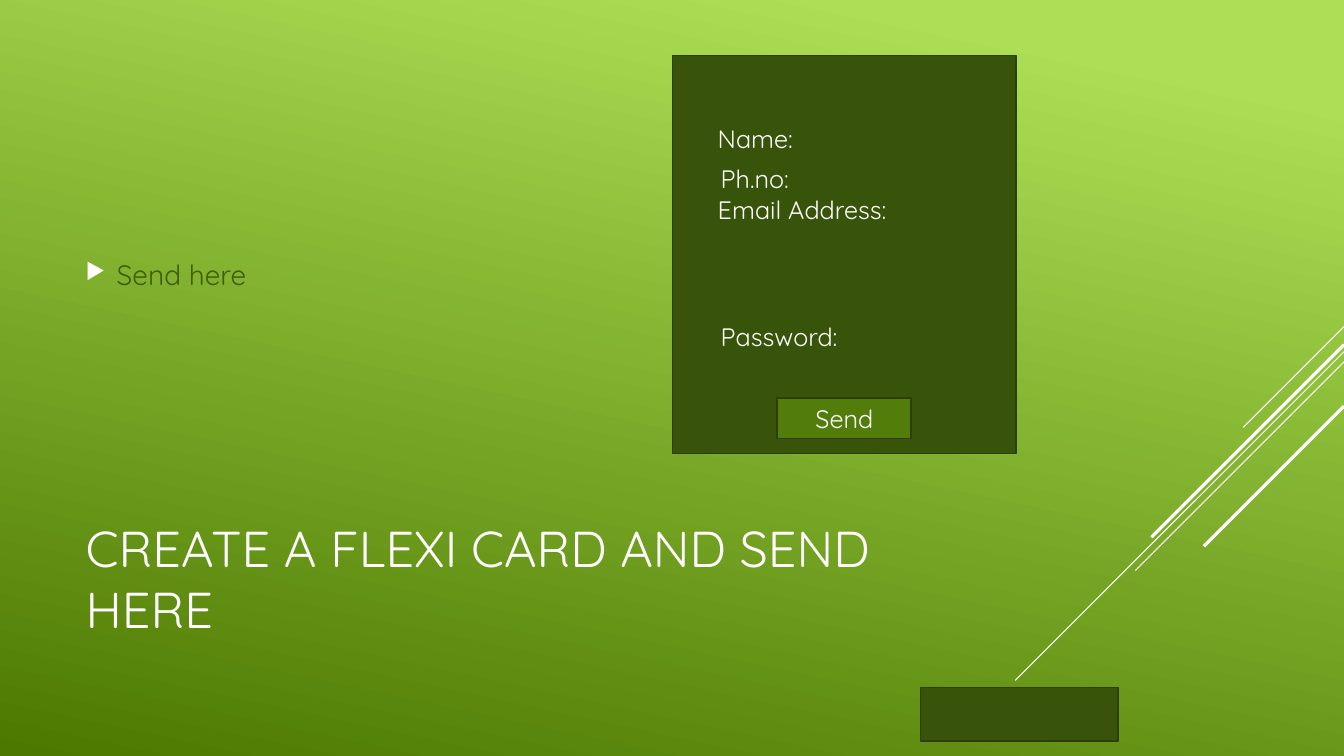
from lxml import etree
from pptx import Presentation
from pptx.dml.color import RGBColor
from pptx.enum.shapes import MSO_CONNECTOR, MSO_SHAPE
from pptx.enum.text import MSO_ANCHOR, MSO_AUTO_SIZE, PP_ALIGN
from pptx.oxml.ns import qn
from pptx.util import Inches, Pt

STRAIGHT = MSO_CONNECTOR.STRAIGHT
RECTANGLE = MSO_SHAPE.RECTANGLE
MIDDLE, TOP = MSO_ANCHOR.MIDDLE, MSO_ANCHOR.TOP
LEFT, CENTER = PP_ALIGN.LEFT, PP_ALIGN.CENTER
NO_FIT = MSO_AUTO_SIZE.NONE

WHITE = RGBColor(0xFF, 0xFF, 0xFF)
LIGHT_GREEN = RGBColor(0xAC, 0xDF, 0x55)
DEEP_GREEN = RGBColor(0x4C, 0x78, 0x00)
CARD_GREEN = RGBColor(0x38, 0x54, 0x0A)
BUTTON_GREEN = RGBColor(0x53, 0x7D, 0x0B)
BORDER_GREEN = RGBColor(0x2E, 0x3E, 0x07)
BODY_GREEN = RGBColor(0x3E, 0x5E, 0x08)


class SlideBuilder:
    font = "Quicksand"

    def __init__(self, prs):
        self.slide = prs.slides.add_slide(prs.slide_layouts[5])

    def background(self, start, end):
        fill = self.slide.background.fill
        fill.gradient()
        fill.gradient_angle = 258
        for stop, (position, color) in zip(fill.gradient_stops, (start, end)):
            stop.position = position
            stop.color.rgb = color

    def set_text(self, sp, text, size, color, align=LEFT, anchor=TOP):
        tf = sp.text_frame
        tf.text = text
        tf.word_wrap = True
        tf.auto_size = NO_FIT
        tf.vertical_anchor = anchor
        p = tf.paragraphs[0]
        p.alignment = align
        r = p.runs[0]
        r.font.name = self.font
        r.font.size = Pt(size)
        r.font.color.rgb = color
        return p

    def title(self, text, x, y, w, h):
        sp = self.slide.shapes.title
        sp.left, sp.top, sp.width, sp.height = map(Inches, (x, y, w, h))
        self.set_text(sp, text, 36, WHITE, anchor=MIDDLE)

    def text(self, text, x, y, w, h, size=18, color=WHITE, anchor=TOP):
        sp = self.slide.shapes.add_textbox(*map(Inches, (x, y, w, h)))
        return self.set_text(sp, text, size, color, anchor=anchor)

    def bullet(self, text, x, y, w, h):
        p = self.text(text, x, y, w, h, 20, BODY_GREEN, MIDDLE)
        p.space_after = Pt(6)
        pPr = p._p.get_or_add_pPr()
        pPr.set("marL", str(Inches(0.31)))
        pPr.set("indent", str(Inches(-0.31)))
        bullet_color = etree.SubElement(pPr, qn("a:buClr"))
        etree.SubElement(bullet_color, qn("a:srgbClr"), val=str(WHITE))
        etree.SubElement(pPr, qn("a:buSzPct"), val="80000")
        etree.SubElement(pPr, qn("a:buChar"), char="▶")

    def box(self, x, y, w, h, fill, text=None):
        sp = self.slide.shapes.add_shape(RECTANGLE, *map(Inches, (x, y, w, h)))
        sp.shadow.inherit = False
        sp.fill.solid()
        sp.fill.fore_color.rgb = fill
        sp.line.color.rgb = BORDER_GREEN
        sp.line.width = Pt(1.25)
        if text:
            self.set_text(sp, text, 18, WHITE, CENTER, MIDDLE)

    def line(self, x1, y1, x2, y2, width):
        sp = self.slide.shapes.add_connector(STRAIGHT, *map(Inches, (x1, y1, x2, y2)))
        sp.line.color.rgb = WHITE
        sp.line.width = Pt(width)
        etree.SubElement(sp._element.spPr, qn("a:effectLst"))


def main():
    prs = Presentation()
    prs.slide_width, prs.slide_height = Inches(13.33), Inches(7.5)
    s = SlideBuilder(prs)
    s.background((0.1, LIGHT_GREEN), (1.0, DEEP_GREEN))

    # Diagonal rays falling at 45 degrees from the right edge
    right = 13.33
    for top, run, width in [(3.24, 1.0, 0.75), (3.49, 3.26, 0.75), (3.59, 2.07, 0.75),
                            (3.42, 1.91, 2.25), (4.03, 1.39, 2.25)]:
        s.line(right, top, right - run, top + run, width)

    # Title and body
    s.title("CREATE A FLEXI CARD AND SEND HERE", 0.75, 4.91, 8.29, 1.65)
    s.bullet("Send here", 0.75, 0.75, 9.33, 3.95)

    # Footer block and form card
    s.box(9.13, 6.82, 1.96, 0.53, CARD_GREEN)
    s.box(6.67, 0.55, 3.41, 3.95, CARD_GREEN)
    for label, x, y, w in [("Name:", 7.02, 1.17, 1.07), ("Ph.no:", 7.05, 1.57, 1.31),
                           ("Email Address:", 7.02, 1.88, 2.11),
                           ("Password:", 7.05, 3.14, 3.24)]:
        s.text(label, x, y, w, 0.4)
    s.box(7.71, 3.95, 1.33, 0.4, BUTTON_GREEN, "Send")

    prs.save("out.pptx")


if __name__ == "__main__":
    main()
